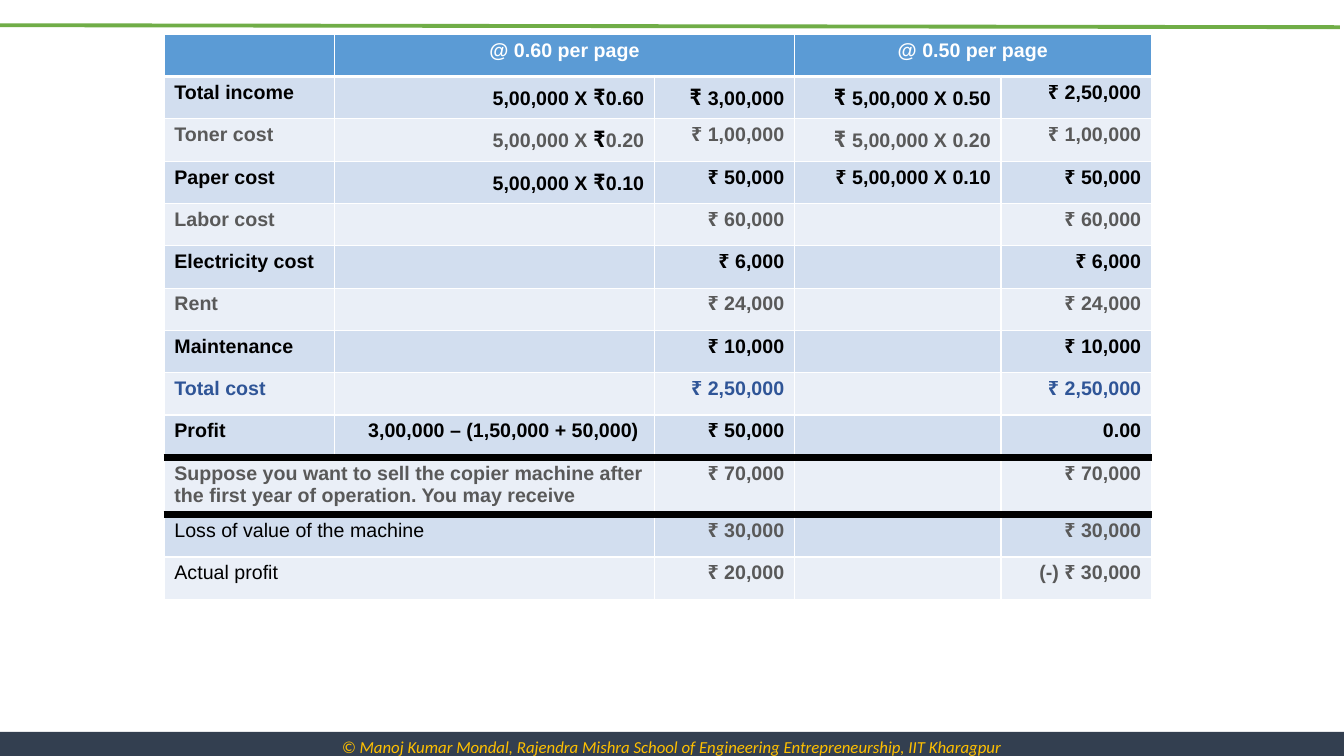
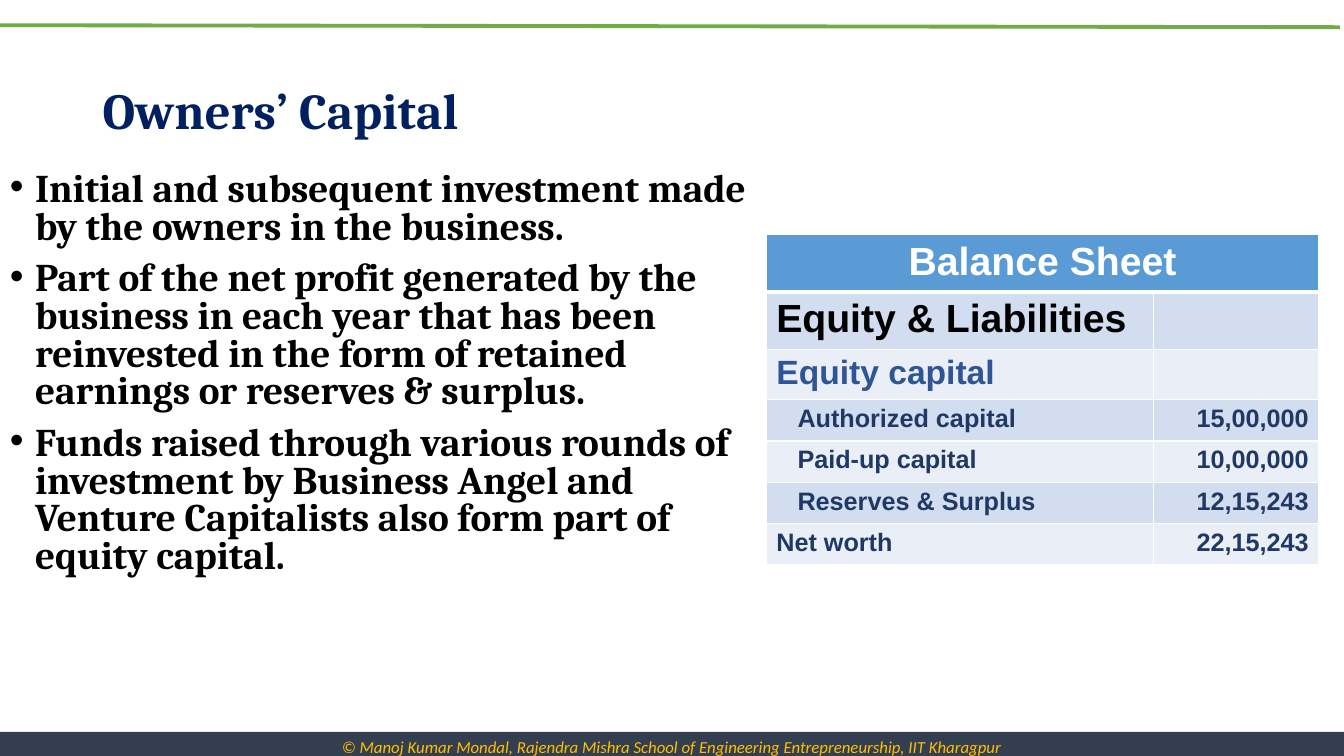
from lxml import etree
from pptx import Presentation
from pptx.dml.color import RGBColor
from pptx.enum.shapes import MSO_CONNECTOR, MSO_SHAPE
from pptx.enum.text import MSO_ANCHOR, PP_ALIGN
from pptx.oxml.ns import qn
from pptx.util import Inches, Pt

LEFT, CENTER, RIGHT = PP_ALIGN.LEFT, PP_ALIGN.CENTER, PP_ALIGN.RIGHT
MIDDLE, TOP = MSO_ANCHOR.MIDDLE, MSO_ANCHOR.TOP
RECTANGLE, STRAIGHT = MSO_SHAPE.RECTANGLE, MSO_CONNECTOR.STRAIGHT

COLORS = {
    "white": "FFFFFF", "black": "000000", "grey": "595959", "green": "70AD47",
    "band": "333F50", "gold": "FFC000", "title": "002060", "total": "2F5597",
    "navy": "203864", "header": "5B9BD5", "odd": "D2DEEF", "even": "EAEFF7",
}
FOOTER = ("© Manoj Kumar Mondal, Rajendra Mishra School of Engineering "
          "Entrepreneurship, IIT Kharagpur")
BIG = {"size": 18, "font": "Calibri"}
PRODUCT = "5,00,000 X "

COST_ROWS = [
    ("white", ["", "@ 0.60 per page", None, "@ 0.50 per page", None]),
    ("black", ["Total income", [(PRODUCT, {}), ("₹", BIG), ("0.60", {})],
               [("₹ ", BIG), ("3,00,000", {})],
               [("₹ ", BIG), ("5,00,000 X 0.50", {})], "₹ 2,50,000"]),
    ("grey", ["Toner cost",
              [(PRODUCT, {}), ("₹", {**BIG, "color": "black"}), ("0.20", {})],
              "₹ 1,00,000",
              [("₹ ", BIG), ("5,00,000 X 0.20", {})], "₹ 1,00,000"]),
    ("black", ["Paper cost", [(PRODUCT, {}), ("₹", BIG), ("0.10", {})],
               "₹ 50,000", "₹ 5,00,000 X 0.10", "₹ 50,000"]),
    ("grey", ["Labor cost", "", "₹ 60,000", "", "₹ 60,000"]),
    ("black", ["Electricity cost", "", "₹ 6,000", "", "₹ 6,000"]),
    ("grey", ["Rent", "", "₹ 24,000", "", "₹ 24,000"]),
    ("black", ["Maintenance", "", "₹ 10,000", "", "₹ 10,000"]),
    ("total", ["Total cost", "", "₹ 2,50,000", "", "₹ 2,50,000"]),
    ("black", ["Profit", "3,00,000 – (1,50,000 + 50,000) ", "₹ 50,000", "",
               "0.00"]),
    ("grey", ["Suppose you want to sell the copier machine after the first "
              "year of operation. You may receive", None, "₹ 70,000", "",
              "₹ 70,000"]),
    ("grey", [[("Loss of value of the machine",
                {"color": "black", "bold": False})], None,
              "₹ 30,000", "", "₹ 30,000"]),
    ("grey", [[("Actual profit", {"color": "black", "bold": False})], None,
              "₹ 20,000", "", "(-) ₹ 30,000"]),
]
BALANCE_ROWS = [
    ("white", [[("Balance Sheet", {"size": 28})], None]),
    ("black", [[("Equity & Liabilities", {"size": 28})], ""]),
    ("total", [[("Equity capital", {"size": 24})], ""]),
    ("navy", ["Authorized capital", "15,00,000"]),
    ("navy", ["Paid-up capital", "10,00,000"]),
    ("navy", ["Reserves & Surplus", "12,15,243"]),
    ("navy", ["Net worth", "22,15,243"]),
]
CAPITAL_POINTS = [
    "Initial and subsequent investment made by the owners in the business.",
    "Part of the net profit generated by the business in each year that has "
    "been reinvested in the form of retained earnings or reserves & surplus.",
    "Funds raised through various rounds of investment by Business Angel and "
    "Venture Capitalists also form part of equity capital.",
]


def rgb(name):
    """Return the named colour."""
    return RGBColor.from_string(COLORS[name])


def write(tf, paragraphs, size=14, font="Arial", color="black", bold=False,
          italic=False, align=LEFT, anchor=TOP, spacing=None, before=0,
          bullet=None):
    """Fill a text frame; a paragraph is a string or a list of (text, format)."""
    tf.word_wrap = True
    tf.vertical_anchor = anchor
    for i, content in enumerate(paragraphs):
        p = tf.add_paragraph() if i else tf.paragraphs[0]
        p.alignment = align
        p.line_spacing = spacing
        p.space_before = Pt(before if i else 0)
        if bullet:
            pPr = p._p.get_or_add_pPr()
            pPr.set("marL", str(Inches(0.25)))
            pPr.set("indent", str(-Inches(0.25)))
            etree.SubElement(pPr, qn("a:buFont"), typeface="Arial")
            etree.SubElement(pPr, qn("a:buChar"), char=bullet)
        runs = [(content, {})] if isinstance(content, str) else content
        for text, own in runs:
            r = p.add_run()
            r.text = text
            r.font.size = Pt(own.get("size", size))
            r.font.name = own.get("font", font)
            r.font.bold = own.get("bold", bold)
            r.font.italic = italic
            r.font.color.rgb = rgb(own.get("color", color))


def add_text(slide, box, paragraphs, **fmt):
    """Add a text box at (left, top, width, height)."""
    sp = slide.shapes.add_textbox(*map(Inches, box))
    write(sp.text_frame, paragraphs, **fmt)


def set_borders(cell, top, bottom):
    """Draw the cell's borders; top and bottom are (colour, points)."""
    tcPr = cell._tc.get_or_add_tcPr()
    side = ("white", 1)
    edges = (("L", side), ("R", side), ("T", top), ("B", bottom))
    for i, (edge, (color, width)) in enumerate(edges):
        ln = etree.Element(qn("a:ln" + edge), w=str(Pt(width)))
        fill = etree.SubElement(ln, qn("a:solidFill"))
        etree.SubElement(fill, qn("a:srgbClr"), val=COLORS[color])
        tcPr.insert(i, ln)


def add_grid(slide, left, top, cols, heights, rows, size, rules=(), indented=()):
    """Add a banded table; rules are rows with a heavy line beneath."""
    frame = slide.shapes.add_table(
        len(rows), len(cols), Inches(left), Inches(top),
        Inches(sum(cols)), Inches(sum(heights)))
    table = frame.table
    table.first_row = table.horz_banding = False
    for column, width in zip(table.columns, cols):
        column.width = Inches(width)
    lines = {0: ("white", 3), **{i: ("black", 6) for i in rules}}
    thin = ("white", 1)
    for i, (color, contents) in enumerate(rows):
        table.rows[i].height = Inches(heights[i])
        band = "header" if i == 0 else "odd" if i % 2 else "even"
        for j, content in enumerate(contents):
            cell = table.cell(i, j)
            cell.fill.solid()
            cell.fill.fore_color.rgb = rgb(band)
            set_borders(cell, lines.get(i - 1, thin), lines.get(i, thin))
            if content is None:
                table.cell(i, j - 1).merge(cell)
            elif content:
                align = CENTER if i == 0 else RIGHT if j else LEFT
                write(cell.text_frame, [content], size=size, color=color,
                      bold=True, align=align)
            if i in indented and j == 0:
                cell.margin_left = Inches(0.31)


def add_frame(slide):
    """Add the green rule and the footer band."""
    sp = slide.shapes.add_shape(RECTANGLE, *map(Inches, (0, 7.26, 13.33, 0.3)))
    sp.shadow.inherit = False
    sp.fill.solid()
    sp.fill.fore_color.rgb = rgb("band")
    sp.line.fill.background()
    write(sp.text_frame, [FOOTER], size=12, font="Calibri", color="gold",
          italic=True, align=CENTER, anchor=MIDDLE)
    rule = slide.shapes.add_connector(
        STRAIGHT, *map(Inches, (0, 0.25, 13.29, 0.27)))
    rule.line.color.rgb = rgb("green")
    rule.line.width = Pt(2.75)
    etree.SubElement(rule._element.spPr, qn("a:effectLst"))


def new_slide(prs):
    """Add a blank slide with the shared frame."""
    slide = prs.slides.add_slide(prs.slide_layouts[6])
    add_frame(slide)
    return slide


def cost_slide(prs):
    """Compare yearly profit at two page prices."""
    heights = [0.42] * 10 + [0.57] + [0.42] * 2
    add_grid(new_slide(prs), 1.63, 0.34, [1.69, 3.17, 1.39, 2.05, 1.49],
             heights, COST_ROWS, size=14, rules=(9, 10))


def capital_slide(prs):
    """Explain owners' capital beside a balance sheet."""
    slide = new_slide(prs)
    add_text(slide, (0.92, 0.4, 11.5, 1.45), ["Owners’ Capital"], size=36,
             font="Cambria", color="title", bold=True, anchor=MIDDLE,
             spacing=0.9)
    add_text(slide, (0, 1.66, 7.69, 4.95), CAPITAL_POINTS, size=28,
             font="Cambria", bold=True, spacing=0.8, before=10, bullet="•")
    heights = [0.53] * 2 + [0.47] + [0.41] * 4
    add_grid(slide, 7.6, 2.33, [3.84, 1.64], heights, BALANCE_ROWS, size=18,
             indented=(3, 4, 5))


def main():
    """Build and save the presentation."""
    prs = Presentation()
    prs.slide_width, prs.slide_height = Inches(13.33), Inches(7.5)
    cost_slide(prs)
    capital_slide(prs)
    prs.save("out.pptx")


if __name__ == "__main__":
    main()
